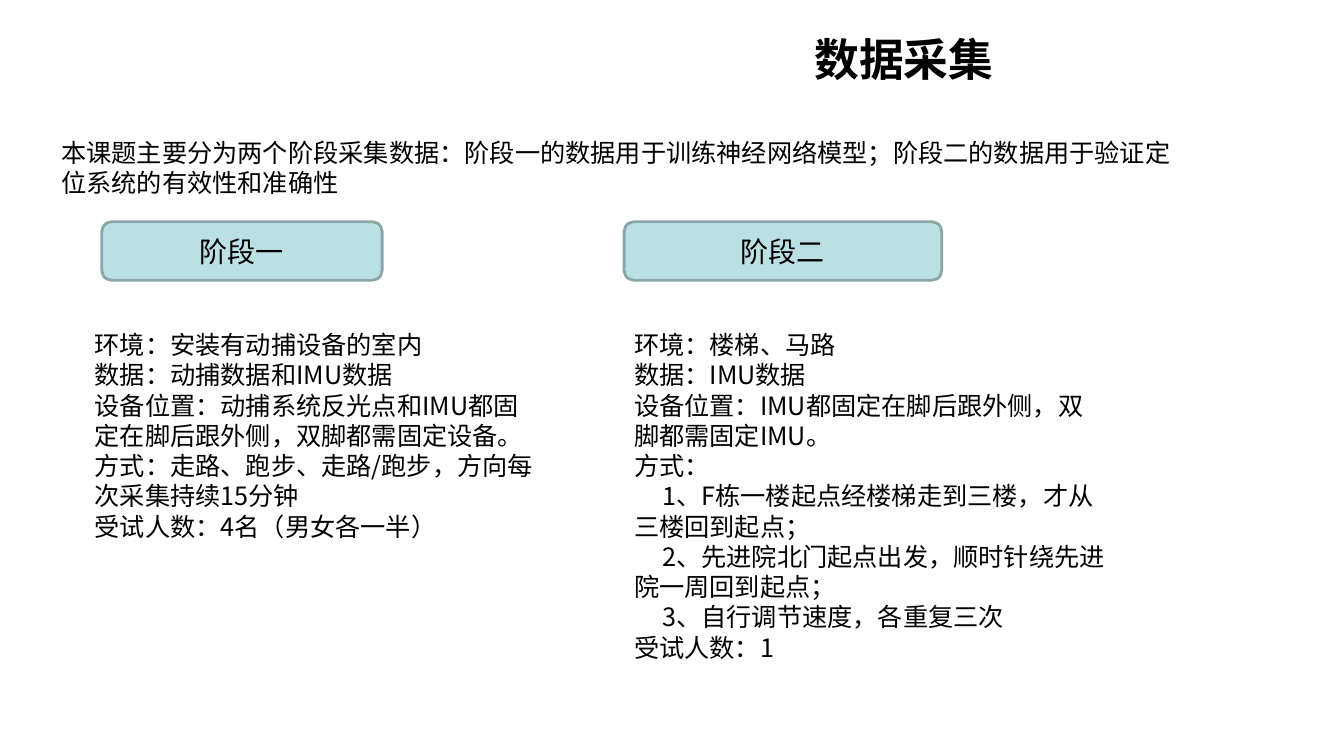
import pptx
import pptx.util
import pptx.dml.color
import pptx.enum.shapes
import pptx.enum.text
import pptx.oxml.ns
from lxml import etree

Inches, Pt = pptx.util.Inches, pptx.util.Pt
ALIGN = pptx.enum.text.PP_ALIGN
FONT = "Noto Sans CJK SC"
COLORS = {"text": "000000", "fill": "BBE0E3", "line": "8AA6A8"}

TITLE = "数据采集"
INTRO = "本课题主要分为两个阶段采集数据：阶段一的数据用于训练神经网络模型；阶段二的数据用于验证定位系统的有效性和准确性"
# Each stage: name, label (left, width), details (left, width, height), lines
STAGES = [
    ("阶段一", (1.01, 2.78), (0.84, 4.64, 2.22), [
        "环境：安装有动捕设备的室内",
        "数据：动捕数据和IMU数据",
        "设备位置：动捕系统反光点和IMU都固定在脚后跟外侧，双脚都需固定设备。",
        "方式：走路、跑步、走路/跑步，方向每次采集持续15分钟",
        "受试人数：4名（男女各一半）",
    ]),
    ("阶段二", (6.19, 3.15), (6.19, 4.88, 3.43), [
        "环境：楼梯、马路",
        "数据：IMU数据",
        "设备位置：IMU都固定在脚后跟外侧，双脚都需固定IMU。",
        "方式：",
        "1、F栋一楼起点经楼梯走到三楼，才从三楼回到起点；",
        "2、先进院北门起点出发，顺时针绕先进院一周回到起点；",
        "3、自行调节速度，各重复三次",
        "受试人数：1",
    ]),
]
LABEL_TOP, LABEL_HEIGHT, DETAILS_TOP = 2.2, 0.58, 3.22
STEP_INDENT = 0.28


def rgb(name):
    return pptx.dml.color.RGBColor.from_string(COLORS[name])


def write(tf, lines, size, align=ALIGN.LEFT, bold=False):
    """Fill a text frame; numbered steps get a first-line indent."""
    tf.word_wrap = True
    for i, line in enumerate(lines):
        p = tf.paragraphs[0] if i == 0 else tf.add_paragraph()
        p.text = line
        p.alignment = align
        if line[0].isdigit():
            pPr = p._p.get_or_add_pPr()
            pPr.set("marL", "0")
            pPr.set("indent", str(Inches(STEP_INDENT)))
        f = p.runs[0].font
        f.name, f.size, f.bold = FONT, Pt(size), bold
        f.color.rgb = rgb("text")
        ea = etree.SubElement(p.runs[0]._r.rPr, pptx.oxml.ns.qn("a:ea"))
        ea.set("typeface", FONT)


def add_text(slide, box, lines, size, **style):
    sp = slide.shapes.add_textbox(*map(Inches, box))
    write(sp.text_frame, lines, size, **style)


def add_label(slide, box, name):
    kind = pptx.enum.shapes.MSO_SHAPE.ROUNDED_RECTANGLE
    sp = slide.shapes.add_shape(kind, *map(Inches, box))
    sp.shadow.inherit = False
    sp.fill.solid()
    sp.fill.fore_color.rgb = rgb("fill")
    sp.line.color.rgb = rgb("line")
    sp.line.width = Pt(2)
    sp.text_frame.vertical_anchor = pptx.enum.text.MSO_ANCHOR.MIDDLE
    write(sp.text_frame, [name], 20, align=ALIGN.CENTER)


def main():
    prs = pptx.Presentation()
    prs.slide_width, prs.slide_height = Inches(13.33), Inches(7.5)
    slide = prs.slides.add_slide(prs.slide_layouts[6])
    add_text(slide, (6.07, 0.27, 5.79, 1.25), [TITLE], 32,
             align=ALIGN.CENTER, bold=True)
    add_text(slide, (0.51, 1.31, 11.35, 0.71), [INTRO], 18)
    for name, (x, w), (details_x, details_w, details_h), lines in STAGES:
        add_label(slide, (x, LABEL_TOP, w, LABEL_HEIGHT), name)
        add_text(slide, (details_x, DETAILS_TOP, details_w, details_h), lines, 18)
    prs.save("out.pptx")


if __name__ == "__main__":
    main()
